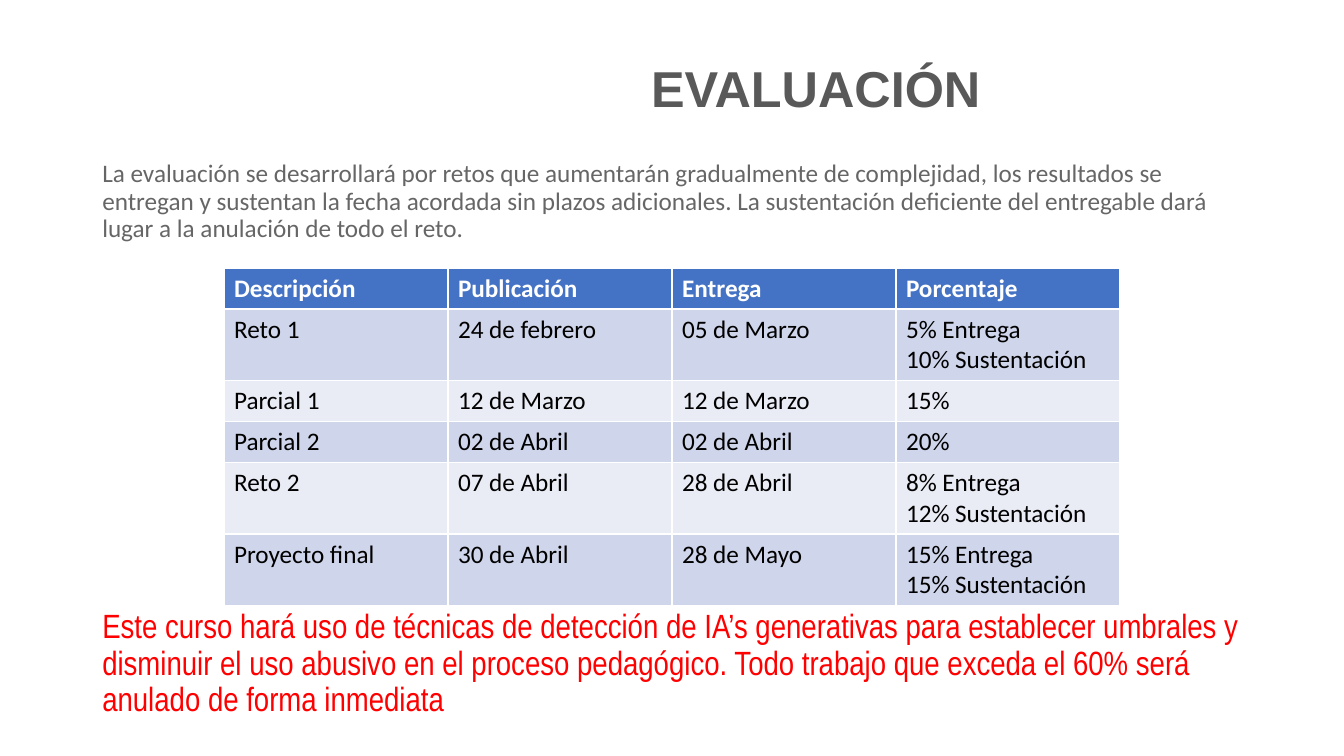
from pptx import Presentation
from pptx.dml.color import RGBColor
from pptx.enum.text import MSO_ANCHOR, PP_ALIGN
from pptx.util import Pt

TITLE_GRAY = RGBColor(0x59, 0x59, 0x59)
BODY_GRAY = RGBColor(0x66, 0x66, 0x66)
RED = RGBColor(0xFF, 0x00, 0x00)
WHITE = RGBColor(0xFF, 0xFF, 0xFF)
BLACK = RGBColor(0x00, 0x00, 0x00)
HEADER_BLUE = RGBColor(0x44, 0x72, 0xC4)
BANDS = (RGBColor(0xE9, 0xEB, 0xF5), RGBColor(0xCF, 0xD5, 0xEA))

LINE_HEIGHT = 22
CELL_MARGINS = 7.2

INTRO = (
    "La evaluación se desarrollará por retos que aumentarán gradualmente de "
    "complejidad, los resultados se entregan y sustentan la fecha acordada sin "
    "plazos adicionales. La sustentación deficiente del entregable dará lugar "
    "a la anulación de todo el reto."
)
WARNING = (
    "Este curso hará uso de técnicas de detección de IA’s generativas para "
    "establecer umbrales y disminuir el uso abusivo en el proceso pedagógico. "
    "Todo trabajo que exceda el 60% será anulado de forma inmediata"
)
SCHEDULE = [
    ("Descripción", "Publicación", "Entrega", "Porcentaje"),
    ("Reto 1", "24 de febrero", "05 de Marzo", "5% Entrega\n10% Sustentación"),
    ("Parcial 1", "12 de Marzo", "12 de Marzo", "15%"),
    ("Parcial 2", "02 de Abril", "02 de Abril", "20%"),
    ("Reto 2", "07 de Abril", "28 de Abril", "8% Entrega\n12% Sustentación"),
    ("Proyecto final", "30 de Abril", "28 de Mayo",
     "15% Entrega\n15% Sustentación"),
]


def style_font(p, name, size, color, bold=False):
    p.font.name = name
    p.font.size = Pt(size)
    p.font.color.rgb = color
    p.font.bold = bold


def add_text(s, box, text, name, size, color, bold=False,
             align=PP_ALIGN.LEFT, anchor=MSO_ANCHOR.TOP):
    tf = s.shapes.add_textbox(*map(Pt, box)).text_frame
    tf.word_wrap = True
    tf.vertical_anchor = anchor
    p = tf.paragraphs[0]
    p.text = text
    p.alignment = align
    p.line_spacing = 0.9
    style_font(p, name, size, color, bold)


def add_schedule(s, left, top, width):
    heights = [max(text.count("\n") + 1 for text in row) * LINE_HEIGHT
               + CELL_MARGINS for row in SCHEDULE]
    columns = len(SCHEDULE[0])
    table = s.shapes.add_table(len(SCHEDULE), columns, Pt(left), Pt(top),
                               Pt(width), Pt(sum(heights))).table
    for column in table.columns:
        column.width = Pt(width / columns)
    for i, (row, height) in enumerate(zip(SCHEDULE, heights)):
        table.rows[i].height = Pt(height)
        header = i == 0
        for j, text in enumerate(row):
            cell = table.cell(i, j)
            cell.fill.solid()
            cell.fill.fore_color.rgb = HEADER_BLUE if header else BANDS[i % 2]
            cell.text = text
            for p in cell.text_frame.paragraphs:
                style_font(p, "Calibri", 18, WHITE if header else BLACK, header)


def build_evaluation_slide(prs):
    s = prs.slides.add_slide(prs.slide_layouts[6])
    add_text(s, (272, 32.4, 621.5, 66), "EVALUACIÓN", "Arial", 36, TITLE_GRAY,
             True, PP_ALIGN.CENTER, MSO_ANCHOR.MIDDLE)
    add_text(s, (66, 111.6, 828, 70), INTRO, "Calibri", 18, BODY_GRAY)
    add_schedule(s, 160, 191.5, 640)
    add_text(s, (66, 432, 828, 88), WARNING, "Arial Narrow", 24, RED)


def main():
    prs = Presentation()
    prs.slide_width = Pt(960)
    prs.slide_height = Pt(540)
    build_evaluation_slide(prs)
    prs.save("out.pptx")


if __name__ == "__main__":
    main()
